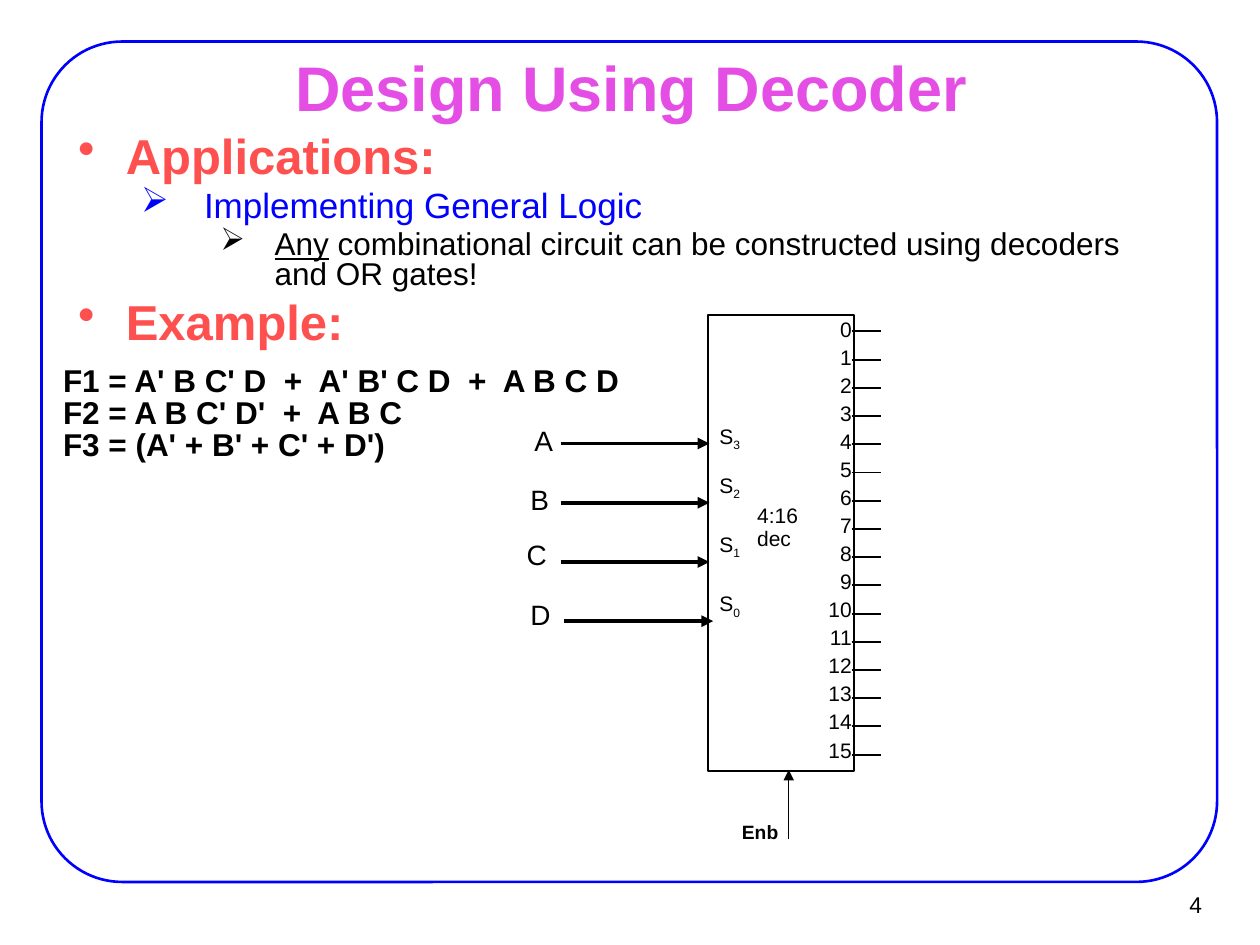
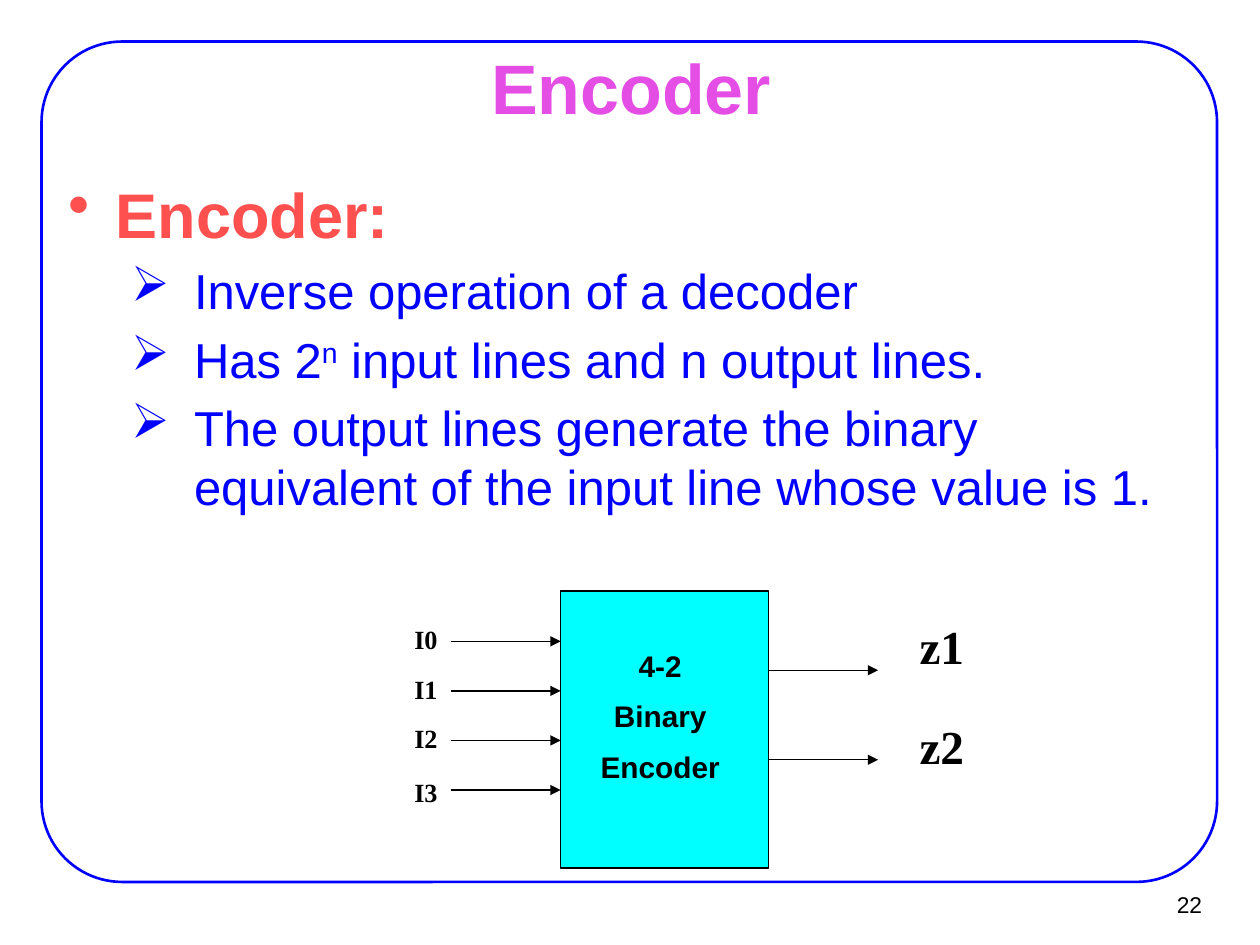
from lxml import etree
from pptx import Presentation
from pptx.dml.color import RGBColor
from pptx.enum.shapes import MSO_CONNECTOR as CONNECTOR, MSO_SHAPE as SHAPE
from pptx.enum.text import MSO_ANCHOR as ANCHOR, PP_ALIGN as ALIGN
from pptx.oxml.ns import qn
from pptx.util import Inches, Pt

BLUE = RGBColor(0x00, 0x00, 0xFF)
BLACK = RGBColor(0x00, 0x00, 0x00)
CYAN = RGBColor(0x00, 0xFF, 0xFF)
MAGENTA = RGBColor(0xE4, 0x4E, 0xE4)
CORAL = RGBColor(0xFF, 0x50, 0x50)

SANS, SERIF = "Arial", "Times New Roman"
BODY_INSET = (0.11, 0.06)
NO_INSET = (0, 0)
SUBSCRIPT, SUPERSCRIPT = -25000, 30000

# Bullet levels: character, left margin, hanging indent
TOP_LEVEL = ("•", 0.38, -0.38)
SECOND_LEVEL = ("➢", 1, -0.5)
THIRD_LEVEL = ("➢", 1.56, -0.43)


def style(size, color=BLACK, bold=False, name=SANS, bullet=None, before=0, **layout):
    """Text format; before is the gap above, as a share of the text size."""
    return {
        "font": {"size": Pt(size), "bold": bold, "name": name},
        "color": color,
        "bullet": bullet,
        "layout": {"space_before": Pt(size * before), **layout},
    }


def bulleted(size, color, level, bold=False, **layout):
    return style(size, color, bold, bullet=level, before=0.2, **layout)


def set_bullet(para, bullet):
    char, margin, indent = bullet
    props = para._p.get_or_add_pPr()
    props.set("marL", str(Inches(margin)))
    props.set("indent", str(Inches(indent)))
    etree.SubElement(props, qn("a:buChar")).set("char", char)


def add_text(page, box, paras, inset=(0.1, 0.05), anchor=ANCHOR.TOP, wrap=True):
    """Each para is (style, span, ...); a span is text or (text, extra format)."""
    frame = page.shapes.add_textbox(*map(Inches, box)).text_frame
    across, down = map(Inches, inset)
    settings = {
        "word_wrap": wrap, "vertical_anchor": anchor,
        "margin_left": across, "margin_right": across,
        "margin_top": down, "margin_bottom": down,
    }
    for key, value in settings.items():
        setattr(frame, key, value)
    for index, (look, *spans) in enumerate(paras):
        para = frame.add_paragraph() if index else frame.paragraphs[0]
        for key, value in look["layout"].items():
            setattr(para, key, value)
        if look["bullet"]:
            set_bullet(para, look["bullet"])
        for item in spans:
            words, extra = (item, {}) if isinstance(item, str) else item
            span = para.add_run()
            span.text = words
            span.font.color.rgb = look["color"]
            for key, value in look["font"].items():
                setattr(span.font, key, value)
            if "underline" in extra:
                span.font.underline = extra["underline"]
            if "baseline" in extra:
                span._r.get_or_add_rPr().set("baseline", str(extra["baseline"]))


def add_box(page, kind, box, color, width, fill=None):
    shape = page.shapes.add_shape(kind, *map(Inches, box))
    shape.shadow.inherit = False
    shape.line.color.rgb = color
    shape.line.width = Pt(width)
    if fill is None:
        shape.fill.background()
    else:
        shape.fill.solid()
        shape.fill.fore_color.rgb = fill
    return shape


def add_line(page, start, end, width, arrow=True):
    line = page.shapes.add_connector(CONNECTOR.STRAIGHT, *map(Inches, start + end))
    line.line.color.rgb = BLACK
    line.line.width = Pt(width)
    if arrow:
        tail = etree.SubElement(line.line._get_or_add_ln(), qn("a:tailEnd"))
        tail.set("type", "triangle")
    etree.SubElement(line._element.spPr, qn("a:effectLst"))


def add_page(deck, title, title_size, number):
    """Blank page with the shared frame, number and title."""
    page = deck.slides.add_slide(deck.slide_layouts[6])
    frame = add_box(page, SHAPE.ROUNDED_RECTANGLE, (0.33, 0.33, 9.33, 6.67), BLUE, 1.5)
    frame.adjustments[0] = 0.096
    add_text(page, (9.02, 6.99, 0.61, 0.37),
             [(style(13, alignment=ALIGN.RIGHT), str(number))],
             (0.09, 0.04), ANCHOR.MIDDLE)
    add_text(page, (0.76, 0.44, 8.5, 0.49),
             [(style(title_size, MAGENTA, True, alignment=ALIGN.CENTER), title)],
             BODY_INSET, ANCHOR.MIDDLE)
    return page


def draw_decoder(page, box):
    left, top, width, height = box
    right, bottom = left + width, top + height
    pin = style(12)
    add_box(page, SHAPE.RECTANGLE, box, BLACK, 1.13)

    # Select inputs: name, name offset, pin label drop, arrow shift
    inputs = [
        ("A", -1.38, 0.86, 0.86, 0),
        ("B", -1.41, 1.33, 1.25, 0),
        ("C", -1.44, 1.77, 1.72, 0),
        ("D", -1.41, 2.24, 2.19, 0.03),
    ]
    for row, (name, name_x, name_y, pin_y, shift) in enumerate(inputs):
        add_text(page, (left + name_x, top + name_y, 0.22, 0.27),
                 [(style(16), name)], NO_INSET, wrap=False)
        add_text(page, (left + 0.09, top + pin_y, 0.47, 0.2),
                 [(pin, "S", (str(3 - row), {"baseline": SUBSCRIPT}))], NO_INSET)
        wire_y = top + 1.02 + 0.47 * row
        add_line(page, (left - 1.17 + shift, wire_y), (left + 0.01 + shift, wire_y), 2.25)

    # Sixteen outputs
    output = style(12, alignment=ALIGN.RIGHT)
    for index in range(16):
        wire_y = top + 0.13 + index * 3.36 / 15
        add_line(page, (right - 0.02, wire_y), (right + 0.21, wire_y), 1.13, arrow=False)
        label_y = top + 0.01 + index * 3.34 / 15
        add_text(page, (right - 0.32, label_y, 0.3, 0.2),
                 [(output, str(index))], NO_INSET)

    # Caption and enable input
    for words, drop in (("4:16", 1.49), ("dec", 1.67)):
        add_text(page, (left + 0.39, top + drop, 0.37, 0.2),
                 [(pin, words)], NO_INSET, wrap=False)
    add_text(page, (left + 0.17, bottom + 0.34, 0.63, 0.28),
             [(style(11, bold=True, before=0.5), "Enb")])
    add_line(page, (left + 0.64, bottom + 0.54), (left + 0.64, bottom - 0.01), 0.75)


def draw_encoder(page, box):
    left, top, width, height = box
    right = left + width
    add_box(page, SHAPE.RECTANGLE, box, BLACK, 0.75, CYAN)

    # Inputs
    label = style(15, bold=True, name=SERIF, before=0.5)
    for index, label_y in enumerate((0.21, 0.6, 0.99, 1.42)):
        wire_y = top + 0.4 + index * 1.18 / 3
        add_line(page, (left - 0.87, wire_y), (left, wire_y), 0.75)
        add_text(page, (left - 1.26, top + label_y, 0.47, 0.35), [(label, f"I{index}")])

    # Outputs
    label = style(27, bold=True, name=SERIF, before=0.5)
    for name, wire_y, label_y in (("z1", 0.63, 0.16), ("z2", 1.34, 0.95)):
        add_line(page, (right, top + wire_y), (right + 0.87, top + wire_y), 0.75)
        add_text(page, (right + 1.1, top + label_y, 0.63, 0.55), [(label, name)])

    # Caption
    caption = style(17, bold=True, before=0.5, alignment=ALIGN.CENTER)
    add_text(page, (left + 0.08, top + 0.4, 1.42, 1.23),
             [(caption, words) for words in ("4-2", "Binary", "Encoder")])


def build_decoder_page(deck):
    page = add_page(deck, "Design Using Decoder", 36, 4)
    tight = {"line_spacing": 0.8}
    add_text(page, (0.51, 1.03, 8.5, 1.46), [
        (bulleted(28, CORAL, TOP_LEVEL, True, **tight), "Applications:"),
        (bulleted(20, BLUE, SECOND_LEVEL, **tight), "Implementing General Logic"),
        (bulleted(18, BLACK, THIRD_LEVEL, **tight), ("Any", {"underline": True}),
         " combinational circuit can be constructed using decoders and OR gates!"),
    ], BODY_INSET)
    formula = style(18, bold=True, line_spacing=0.85)
    add_text(page, (0.43, 2.88, 4.59, 0.82), [
        (formula, "F1 = A' B C' D  +  A' B' C D  +  A B C D"),
        (formula, "F2 = A B C' D'  +  A B C"),
        (formula, "F3 = (A' + B' + C' + D')"),
    ], (0.07, 0.03), wrap=False)
    add_text(page, (0.51, 2.25, 5.9, 1.46),
             [(bulleted(28, CORAL, TOP_LEVEL, True), "Example:")], BODY_INSET)
    draw_decoder(page, (5.62, 2.5, 1.16, 3.62))


def build_encoder_page(deck):
    page = add_page(deck, "Encoder", 40, 22)
    point = bulleted(28, BLUE, SECOND_LEVEL)
    add_text(page, (0.43, 1.33, 9.21, 5.08), [
        (bulleted(36, CORAL, TOP_LEVEL, True), "Encoder:"),
        (point, "Inverse operation of a decoder"),
        (point, "Has 2", ("n", {"baseline": SUPERSCRIPT}),
         " input lines and n output lines."),
        (point, "The output lines generate the binary equivalent of the input line "
                "whose value is 1."),
    ], BODY_INSET)
    draw_encoder(page, (4.45, 4.69, 1.65, 2.2))


def main():
    deck = Presentation()
    deck.slide_width, deck.slide_height = Inches(10), Inches(7.5)
    build_decoder_page(deck)
    build_encoder_page(deck)
    deck.save("out.pptx")


if __name__ == "__main__":
    main()
